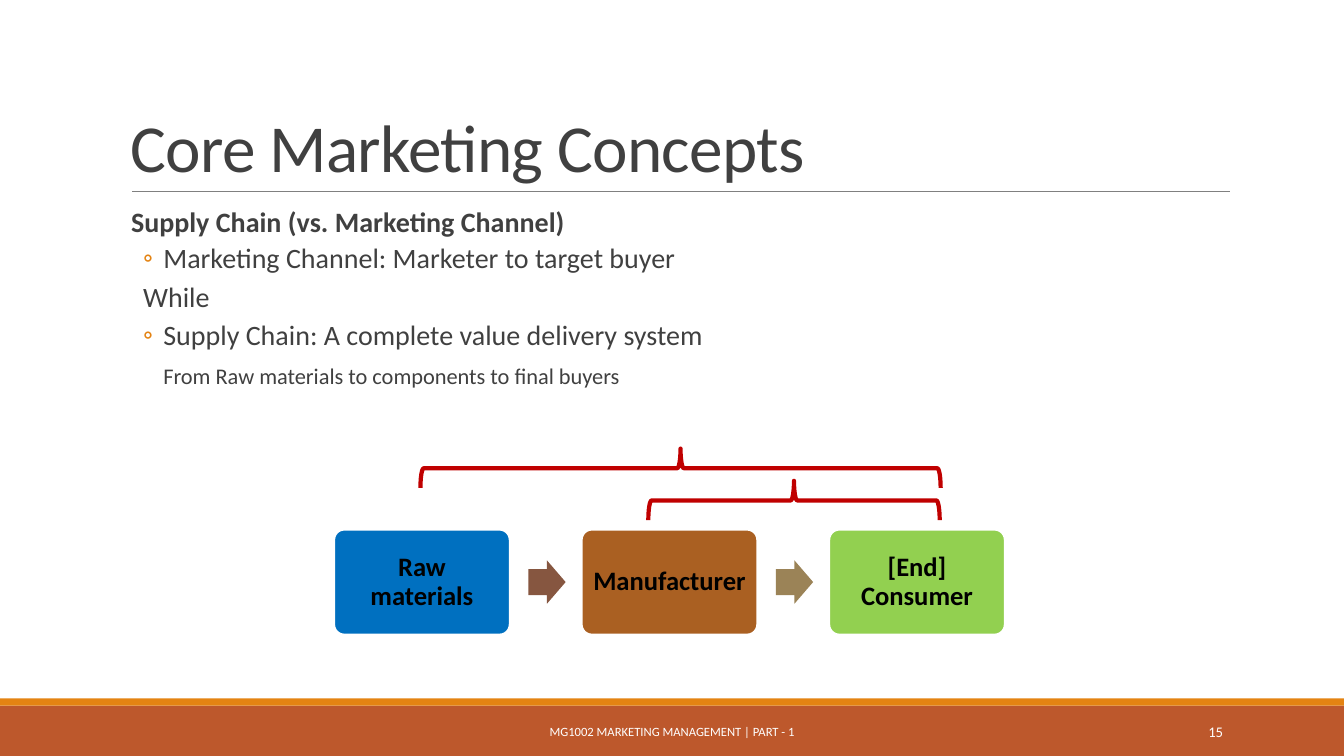
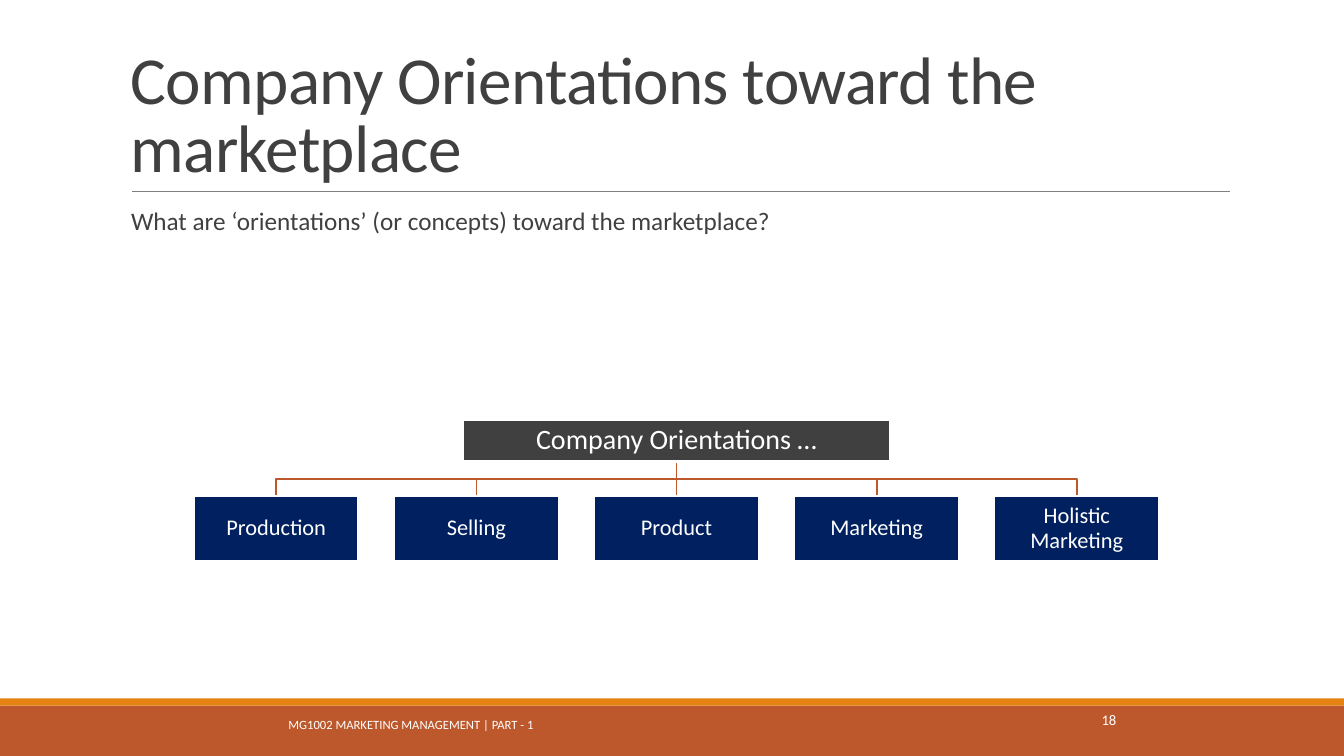
from lxml import etree
from pptx import Presentation
from pptx import util as u
from pptx.dml.color import RGBColor
from pptx.enum import shapes, text
from pptx.oxml.ns import qn

HUES = {
    "white": "FFFFFF", "black": "000000", "dark": "404040", "rule": "808080",
    "rust": "BD582C", "gold": "E48312", "navy": "002060", "red": "C00000",
    "blue": "0070C0", "brown": "AA6022", "green": "92D050",
    "clay": "865640", "sand": "9B8357",
}
FONT = "Calibri"
KIND = shapes.MSO_SHAPE
ALIGN = text.PP_ALIGN
SEAT = text.MSO_ANCHOR


def hue(name):
    return RGBColor.from_string(HUES[name])


class Deck:
    def __init__(self):
        self.prs = Presentation()
        self.prs.slide_width = u.Inches(13.33)
        self.prs.slide_height = u.Inches(7.5)
        self.slide = None

    def page(self, title, number, foot_at, num_at):
        self.slide = self.prs.slides.add_slide(self.prs.slide_layouts[6])
        self.shape(KIND.RECTANGLE, (0, 7, 13.33, 0.5), "rust")
        self.shape(KIND.RECTANGLE, (0, 6.93, 13.33, 0.07), "gold")
        self.line((1.31, 1.9), (12.2, 1.9), "rule", 0.5)
        frame = self.label((1.2, 0.31, 11, 1.59), title, 48, "dark",
                           seat=SEAT.BOTTOM, lead=0.85)
        for run in frame.paragraphs[0].runs:
            run._r.get_or_add_rPr().set("spc", "-50")
        self.label(foot_at, "MG1002 MARKETING MANAGEMENT | PART - 1", 9,
                   "white", ALIGN.CENTER)
        self.label(num_at, number, 10.5, "white", ALIGN.RIGHT)

    def setup(self, frame, pads, seat):
        frame.word_wrap = True
        frame.vertical_anchor = seat
        frame.margin_left = frame.margin_right = u.Inches(pads[0])
        frame.margin_top = frame.margin_bottom = u.Inches(pads[1])

    def style(self, para, size, color, bold=False, align=ALIGN.LEFT, lead=1.0):
        para.alignment = align
        para.line_spacing = lead
        for run in para.runs:
            font = run.font
            font.name, font.size, font.bold = FONT, u.Pt(size), bold
            font.color.rgb = hue(color)

    def label(self, at, words, size, color, align=ALIGN.LEFT,
              seat=SEAT.MIDDLE, lead=1.0):
        box = self.slide.shapes.add_textbox(*map(u.Inches, at))
        frame = box.text_frame
        self.setup(frame, (0.1, 0.05), seat)
        frame.text = words
        self.style(frame.paragraphs[0], size, color, align=align, lead=lead)
        return frame

    def body(self, items):
        box = self.slide.shapes.add_textbox(
            *map(u.Inches, (1.2, 2.02, 11, 4.4)))
        frame = box.text_frame
        self.setup(frame, (0, 0.05), SEAT.TOP)
        for i, (words, size, bold, left, hang, mark, before, after) in enumerate(items):
            para = frame.paragraphs[0] if i == 0 else frame.add_paragraph()
            para.text = words
            props = para._p.get_or_add_pPr()
            props.set("marL", str(u.Inches(left)))
            props.set("indent", str(u.Inches(-hang)))
            if mark:
                tint = etree.SubElement(props, qn("a:buClr"))
                etree.SubElement(tint, qn("a:srgbClr"), val=HUES["gold"])
                etree.SubElement(props, qn("a:buFont"), typeface=FONT)
                etree.SubElement(props, qn("a:buChar"), char=mark)
            else:
                etree.SubElement(props, qn("a:buNone"))
            self.style(para, size, "dark", bold, lead=0.9)
            para.space_before = u.Pt(before)
            para.space_after = u.Pt(after)

    def shape(self, kind, at, fill=None, edge=None, width=1, adjs=()):
        item = self.slide.shapes.add_shape(kind, *map(u.Inches, at))
        item.shadow.inherit = False
        if fill:
            item.fill.solid()
            item.fill.fore_color.rgb = hue(fill)
        else:
            item.fill.background()
        if edge:
            item.line.color.rgb = hue(edge)
            item.line.width = u.Pt(width)
        else:
            item.line.fill.background()
        for i, value in enumerate(adjs):
            item.adjustments[i] = value
        return item

    def card(self, kind, at, words, fill, size, color, pad, bold=False, adjs=()):
        item = self.shape(kind, at, fill, "white", 2, adjs)
        frame = item.text_frame
        self.setup(frame, (pad, pad), SEAT.MIDDLE)
        frame.text = words
        self.style(frame.paragraphs[0], size, color, bold, ALIGN.CENTER, 0.9)
        return item

    def brace(self, left, top, span, depth=0.39):
        at = (left + (span - depth) / 2, top + (depth - span) / 2, depth, span)
        item = self.shape(KIND.RIGHT_BRACE, at, edge="red", width=3)
        item.rotation = 270

    def line(self, start, end, color, width):
        item = self.slide.shapes.add_connector(
            shapes.MSO_CONNECTOR.STRAIGHT, *map(u.Inches, (*start, *end)))
        item.line.color.rgb = hue(color)
        item.line.width = u.Pt(width)
        etree.SubElement(item._element.spPr, qn("a:effectLst"))
        return item

    def route(self, points, color, width):
        spots = [(u.Inches(x), u.Inches(y)) for x, y in points]
        pen = self.slide.shapes.build_freeform(*spots[0])
        pen.add_line_segments(spots[1:], close=False)
        item = pen.convert_to_shape()
        item.shadow.inherit = False
        item.fill.background()
        item.line.color.rgb = hue(color)
        item.line.width = u.Pt(width)


def supply(deck):
    deck.page("Core Marketing Concepts", "15",
              (4.03, 7.06, 5.27, 0.4), (10.83, 7.06, 1.4, 0.4))
    deck.body([
        ("Supply Chain (vs. Marketing Channel)", 20, True, 0.1, 0, None, 0, 2),
        ("Marketing Channel: Marketer to target buyer", 20, False, 0.42, 0.2, "◦", 2, 4),
        ("While", 20, False, 0.42, 0.2, None, 2, 4),
        ("Supply Chain: A complete value delivery system", 20, False, 0.42, 0.2, "◦", 2, 4),
        ("From Raw materials to components to final buyers", 16, False, 0.42, 0, None, 5.5, 4),
    ])
    steps = [("Raw materials", "blue", "clay"),
             ("Manufacturer", "brown", "sand"),
             ("[End] Consumer", "green", None)]
    pitch = (8.22 - 3.31) / 2
    for i, (words, fill, arrow) in enumerate(steps):
        left = 3.31 + i * pitch
        deck.card(KIND.ROUNDED_RECTANGLE, (left, 5.25, 1.75, 1.05), words,
                  fill, 19, "black", 0.08, True, (0.1,))
        if arrow:
            deck.shape(KIND.RIGHT_ARROW, (left + 1.93, 5.56, 0.37, 0.43),
                       arrow, adjs=(0.6, 0.5))
    deck.brace(6.43, 4.77, 2.89)
    deck.brace(4.17, 4.45, 5.16)


def orient(deck):
    deck.page("Company Orientations toward the marketplace", "18",
              (2.19, 7.03, 3.77, 0.32), (9.9, 6.94, 1.27, 0.4))
    deck.body([("What are ‘orientations’ (or concepts) toward the marketplace?",
                18, False, 0.1, 0, None, 0, 2)])
    units = ["Production", "Selling", "Product", "Marketing", "Holistic Marketing"]
    wide, first, last, top = 1.64, 1.92, 9.86, 4.92
    base, bus = 4.58, 4.75
    pitch = (last - first) / (len(units) - 1)
    mid = (first + last + wide) / 2
    half = len(units) // 2
    for i in range(len(units)):
        axis = first + i * pitch + wide / 2
        if i == half:
            trunk = deck.line((mid, base), (mid, top), "rust", 1.25)
        else:
            deck.route([(mid, base), (mid, bus), (axis, bus), (axis, top)],
                       "rust", 1.25)
    head = deck.card(KIND.RECTANGLE, (mid - 4.25 / 2, 4.16, 4.25, 0.42),
                     "Company Orientations …", "dark", 20, "white", 0.01)
    trunk.begin_connect(head, 2)
    for i, words in enumerate(units):
        unit = deck.card(KIND.RECTANGLE, (first + i * pitch, top, wide, 0.65),
                         words, "navy", 16, "white", 0.01)
        if i == half:
            trunk.end_connect(unit, 0)


def main():
    deck = Deck()
    supply(deck)
    orient(deck)
    deck.prs.save("out.pptx")


if __name__ == "__main__":
    main()
